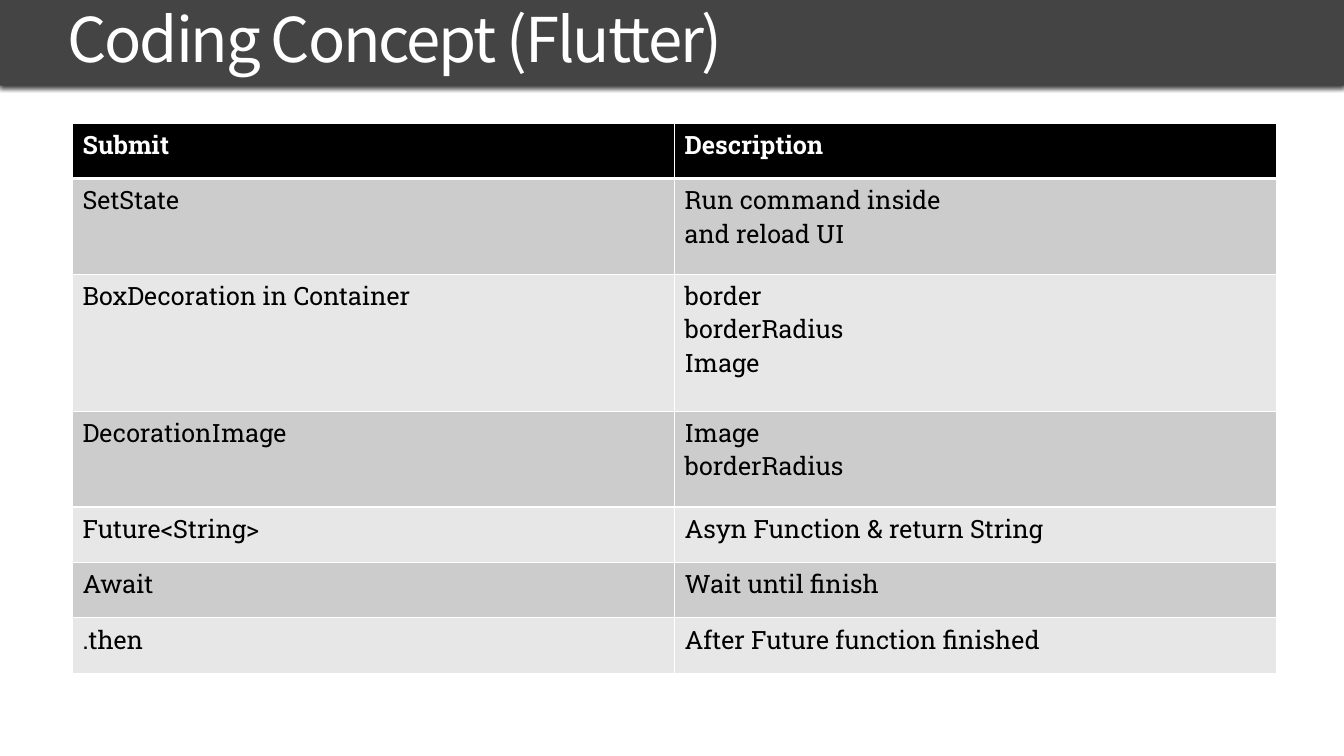
"""Builds a slide with a title band and a two-column table of Flutter concepts."""
from lxml.etree import SubElement
from pptx import Presentation
from pptx.dml.color import RGBColor
from pptx.enum.shapes import MSO_SHAPE
from pptx.enum.text import MSO_ANCHOR
from pptx.oxml import parse_xml
from pptx.oxml.ns import nsdecls, qn
from pptx.util import Inches, Pt

COLORS = {
    "band": "444444",
    "header": "000000",
    "odd": "CCCCCC",
    "even": "E7E7E7",
    "white": "FFFFFF",
    "black": "000000",
}
TITLE_FONT = "Noto Sans CJK JP"
BODY_FONT = "Roboto Slab"

ROWS = [
    (0.55, "Submit", "Description"),
    (0.95, "SetState", "Run command inside\nand reload UI"),
    (1.36, "BoxDecoration in Container", "border\nborderRadius\nImage"),
    (0.95, "DecorationImage", "Image\nborderRadius"),
    (0.55, "Future<String>", "Asyn Function & return String"),
    (0.55, "Await", "Wait until finish"),
    (0.55, ".then", "After Future function finished"),
]


class SlideBuilder:
    def __init__(self, slide):
        self.slide = slide

    def rgb(self, name):
        return RGBColor.from_string(COLORS[name])

    def style(self, tf, font, size, color, bold=False):
        for p in tf.paragraphs:
            for r in p.runs:
                r.font.name = font
                r.font.size = Pt(size)
                r.font.bold = bold
                r.font.color.rgb = self.rgb(color)

    def band(self, x, y, w, h):
        sp = self.slide.shapes.add_shape(
            MSO_SHAPE.RECTANGLE, Inches(x), Inches(y), Inches(w), Inches(h))
        sp.fill.solid()
        sp.fill.fore_color.rgb = self.rgb("band")
        sp.line.fill.background()
        sp.shadow.inherit = False
        effects = sp._element.spPr.find(qn("a:effectLst"))
        shadow = SubElement(effects, qn("a:outerShdw"), blurRad=str(Pt(3)),
                            dist=str(Pt(2)), dir="5400000", rotWithShape="0")
        color = SubElement(shadow, qn("a:srgbClr"), val=COLORS["black"])
        SubElement(color, qn("a:alpha"), val="75000")

    def title(self, text, x, y, w, h):
        box = self.slide.shapes.add_textbox(
            Inches(x), Inches(y), Inches(w), Inches(h))
        tf = box.text_frame
        tf.word_wrap = True
        tf.vertical_anchor = MSO_ANCHOR.MIDDLE
        tf.margin_left = tf.margin_right = tf.margin_top = tf.margin_bottom = 0
        tf.text = text
        p = tf.paragraphs[0]
        p.line_spacing = 0.85
        self.style(tf, TITLE_FONT, 44, "white")
        p.runs[0].font._element.set("spc", "-150")

    def borders(self, cell, top, bottom):
        tc_pr = cell._tc.get_or_add_tcPr()
        widths = {"lnL": 1, "lnR": 1, "lnT": top, "lnB": bottom}
        for i, (tag, width) in enumerate(widths.items()):
            tc_pr.insert(i, parse_xml(
                f'<a:{tag} {nsdecls("a")} w="{Pt(width)}"><a:solidFill>'
                f'<a:srgbClr val="{COLORS["white"]}"/></a:solidFill></a:{tag}>'))

    def table(self, rows, x, y, w):
        height = sum(row[0] for row in rows)
        frame = self.slide.shapes.add_table(
            len(rows), 2, Inches(x), Inches(y), Inches(w), Inches(height))
        table = frame.table
        for i, (row_height, *texts) in enumerate(rows):
            table.rows[i].height = Inches(row_height)
            is_header = i == 0
            fill = "header" if is_header else "odd" if i % 2 else "even"
            for j, text in enumerate(texts):
                cell = table.cell(i, j)
                cell.text_frame.text = text
                self.style(cell.text_frame, BODY_FONT, 18,
                           "white" if is_header else "black", is_header)
                cell.fill.solid()
                cell.fill.fore_color.rgb = self.rgb(fill)
                self.borders(cell, 3 if i == 1 else 1, 3 if is_header else 1)


def main():
    prs = Presentation()
    prs.slide_width = Inches(13.33)
    prs.slide_height = Inches(7.5)
    s = SlideBuilder(prs.slides.add_slide(prs.slide_layouts[6]))
    s.band(0, 0, 13.33, 0.85)
    s.title("Coding Concept (Flutter)", 0.67, 0.16, 12, 0.55)
    s.table(ROWS, 0.72, 1.22, 11.94)
    prs.save("out.pptx")


if __name__ == "__main__":
    main()
